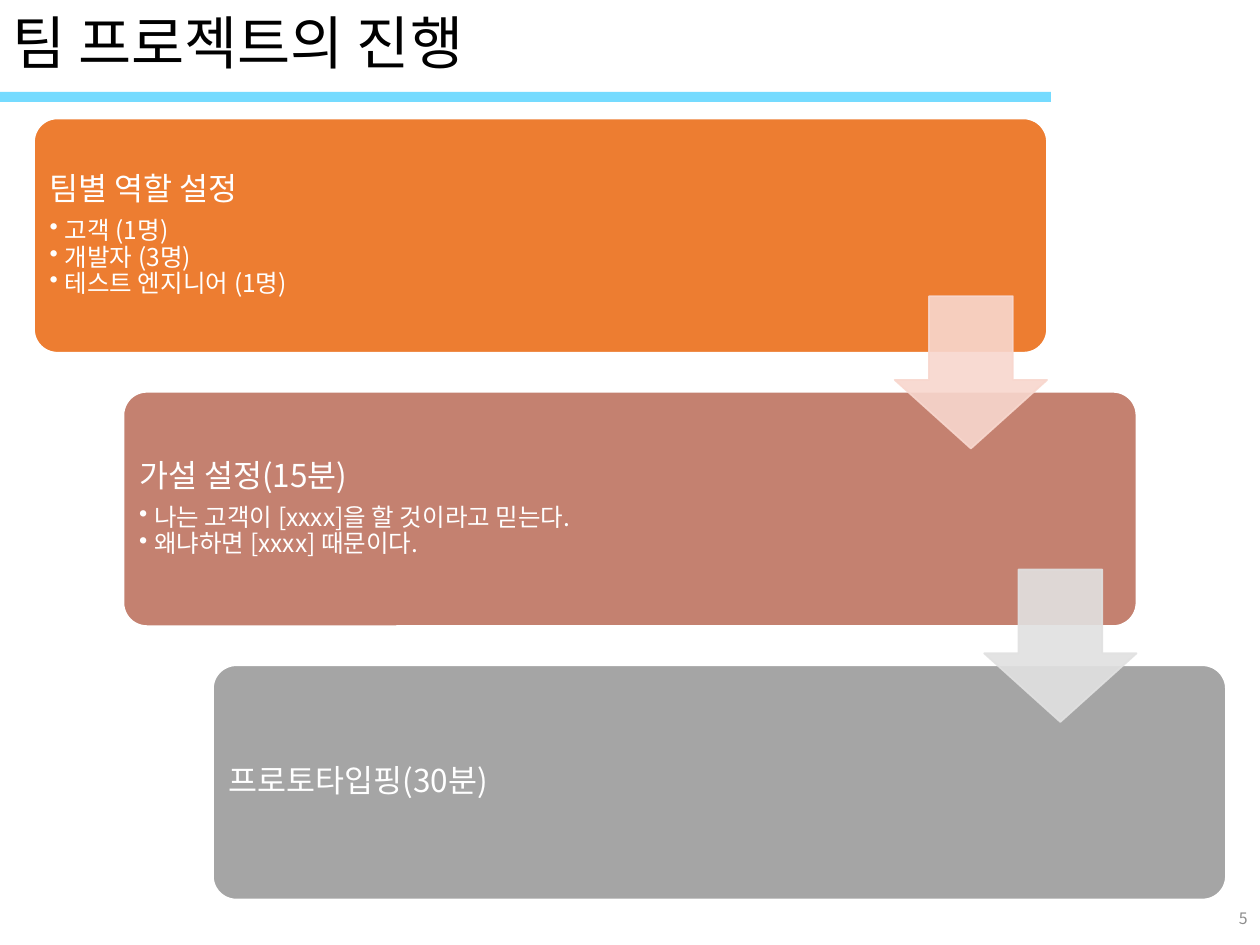
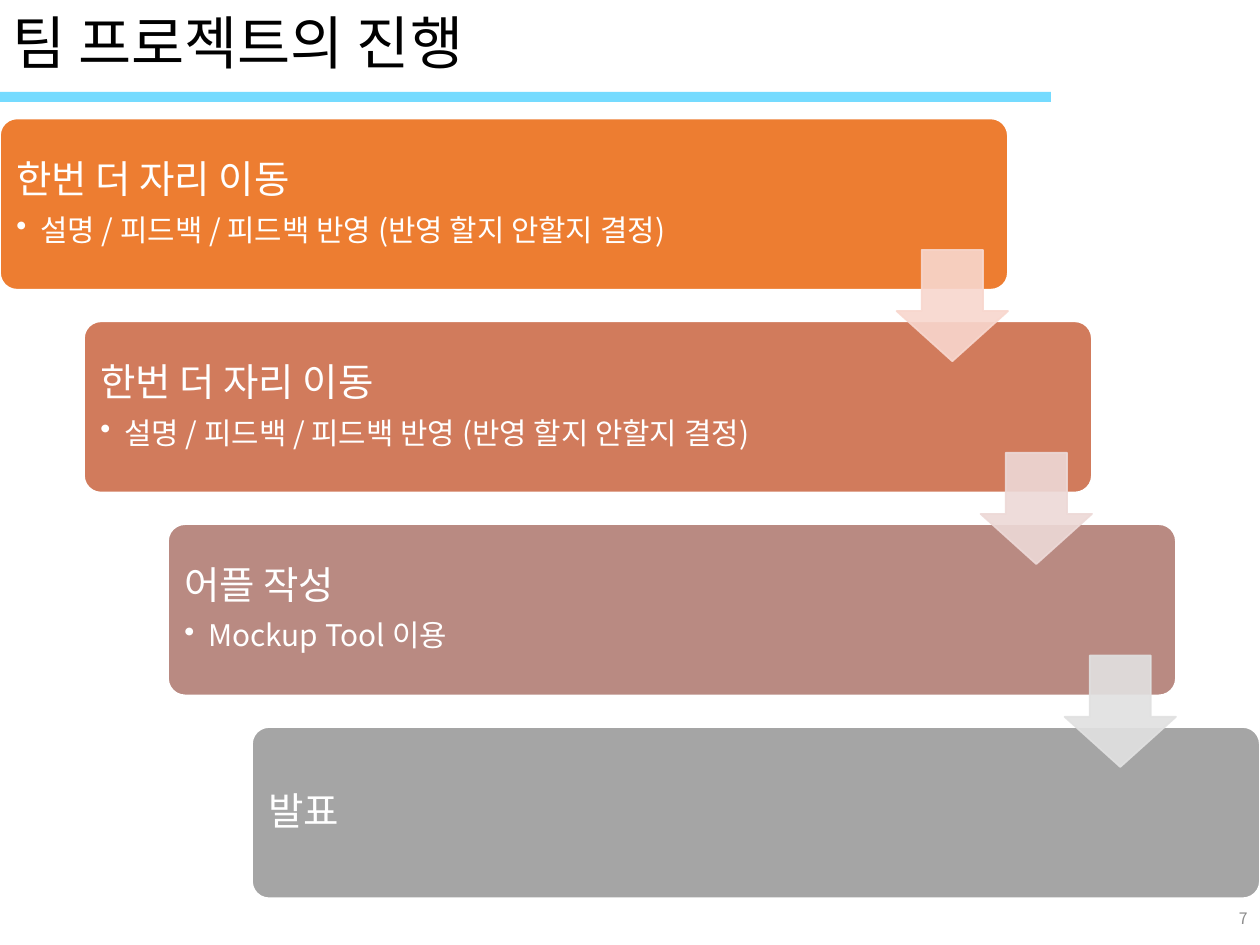
"""Build two slides of stepped project stages joined by arrows."""
from dataclasses import dataclass

from lxml import etree
from pptx import Presentation
from pptx import util as u
from pptx.dml import color
from pptx.enum import shapes, text
from pptx.oxml import ns

FONT = "Noto Sans CJK KR"
TITLE = "팀 프로젝트의 진행"
HUES = {
    "ink": "000000", "white": "FFFFFF", "band": "75DBFF", "page": "8C8C8C",
    "orange": "ED7D31", "coral": "D17B5C", "clay": "C48170",
    "rose": "B98A82", "gray": "A5A5A5",
    "peach": "F8D7CE", "pink": "EDD9D7", "silver": "E1E1E1",
}


@dataclass
class Stage:
    hue: str
    head: str
    items: tuple[str, ...] = ()


@dataclass
class Flow:
    page: int
    left: float
    width: float
    height: float
    shift: float
    drop: float
    inset: float
    dent: float
    head: int
    body: int
    stages: list[Stage]
    arrows: list[str]


TOP = 0.94
ARROW = 0.65
REVIEW = "설명 / 피드백 / 피드백 반영 (반영 할지 안할지 결정)"
FLOWS = [
    Flow(5, 0.27, 8.04, 1.86, 0.71, 2.17, 0.07, 0.12, 18, 14, [
        Stage("orange", "팀별 역할 설정",
              ("고객 (1명)", "개발자 (3명)", "테스트 엔지니어 (1명)")),
        Stage("clay", "가설 설정(15분)",
              ("나는 고객이 [xxxx]을 할 것이라고 믿는다.", "왜냐하면 [xxxx] 때문이다.")),
        Stage("gray", "프로토타입핑(30분)"),
    ], ["peach", "silver"]),
    Flow(7, 0, 8, 1.36, 2 / 3, 1.61, 0.09, 0.19, 22, 17, [
        Stage("orange", "한번 더 자리 이동", (REVIEW,)),
        Stage("coral", "한번 더 자리 이동", (REVIEW,)),
        Stage("rose", "어플 작성", ("Mockup Tool 이용",)),
        Stage("gray", "발표"),
    ], ["peach", "pink", "silver"]),
]


def rgb(hue: str) -> color.RGBColor:
    return color.RGBColor.from_string(HUES[hue])


def style(para, size: int, hue: str) -> None:
    for run in para.runs:
        run.font.size = u.Pt(size)
        run.font.name = FONT
        run.font.color.rgb = rgb(hue)
        east = etree.SubElement(run.font._element, ns.qn("a:ea"))
        east.set("typeface", FONT)


def label(slide, words: str, area: tuple, size: int, hue: str, align) -> None:
    box = slide.shapes.add_textbox(*map(u.Inches, area))
    frame = box.text_frame
    frame.word_wrap = True
    frame.vertical_anchor = text.MSO_ANCHOR.MIDDLE
    frame.text = words
    para = frame.paragraphs[0]
    para.alignment = align
    para.line_spacing = 0.9
    style(para, size, hue)


def block(slide, kind, area: tuple, hue: str, edge: str = ""):
    form = slide.shapes.add_shape(kind, *map(u.Inches, area))
    form.shadow.inherit = False
    form.fill.solid()
    form.fill.fore_color.rgb = rgb(hue)
    if edge:
        form.line.color.rgb = rgb(edge)
        form.line.width = u.Pt(1)
    else:
        form.line.fill.background()
    return form


def bullet(para, dent: float) -> None:
    props = para._p.get_or_add_pPr()
    props.set("marL", str(u.Inches(dent)))
    props.set("indent", str(-u.Inches(dent)))
    etree.SubElement(props, ns.qn("a:buChar")).set("char", "•")


def card(slide, flow: Flow, stage: Stage, x: float, y: float) -> None:
    form = block(slide, shapes.MSO_SHAPE.ROUNDED_RECTANGLE,
                 (x, y, flow.width, flow.height), stage.hue, "white")
    form.adjustments[0] = 0.1
    frame = form.text_frame
    frame.word_wrap = True
    frame.vertical_anchor = text.MSO_ANCHOR.MIDDLE
    frame.margin_left = frame.margin_top = u.Inches(flow.inset)
    frame.margin_right = frame.margin_bottom = u.Inches(flow.inset)
    frame.text = "\n".join((stage.head, *stage.items))
    for rank, para in enumerate(frame.paragraphs):
        para.alignment = text.PP_ALIGN.LEFT
        para.line_spacing = 0.9
        para.space_after = u.Pt(0 if rank else round(0.35 * flow.head, 1))
        if rank:
            para.level = 1
            bullet(para, flow.dent)
        style(para, flow.body if rank else flow.head, "white")


def arrow(slide, flow: Flow, hue: str, x: float, y: float) -> None:
    size = ARROW * flow.height
    middle = y + (flow.height + flow.drop) / 2
    area = (x + flow.width - size, middle - size / 2, size, size)
    form = block(slide, shapes.MSO_SHAPE.DOWN_ARROW, area, hue, hue)
    form.adjustments[0] = 0.55
    form.adjustments[1] = 0.45
    for tint in form._element.spPr.iter(ns.qn("a:srgbClr")):
        etree.SubElement(tint, ns.qn("a:alpha")).set("val", "90000")


def draw(deck, flow: Flow) -> None:
    slide = deck.slides.add_slide(deck.slide_layouts[6])
    block(slide, shapes.MSO_SHAPE.RECTANGLE, (0, 0.73, 8.34, 0.08), "band")
    label(slide, TITLE, (0, 0, 10, 0.72), 33, "ink", text.PP_ALIGN.LEFT)
    label(slide, str(flow.page), (7.75, 7.1, 2.25, 0.4), 9, "page",
          text.PP_ALIGN.RIGHT)
    spots = [(flow.left + n * flow.shift, TOP + n * flow.drop)
             for n in range(len(flow.stages))]
    for stage, spot in zip(flow.stages, spots):
        card(slide, flow, stage, *spot)
    for hue, spot in zip(flow.arrows, spots):
        arrow(slide, flow, hue, *spot)


def main() -> None:
    deck = Presentation()
    deck.slide_width = u.Inches(10)
    deck.slide_height = u.Inches(7.5)
    for flow in FLOWS:
        draw(deck, flow)
    deck.save("out.pptx")


if __name__ == "__main__":
    main()
